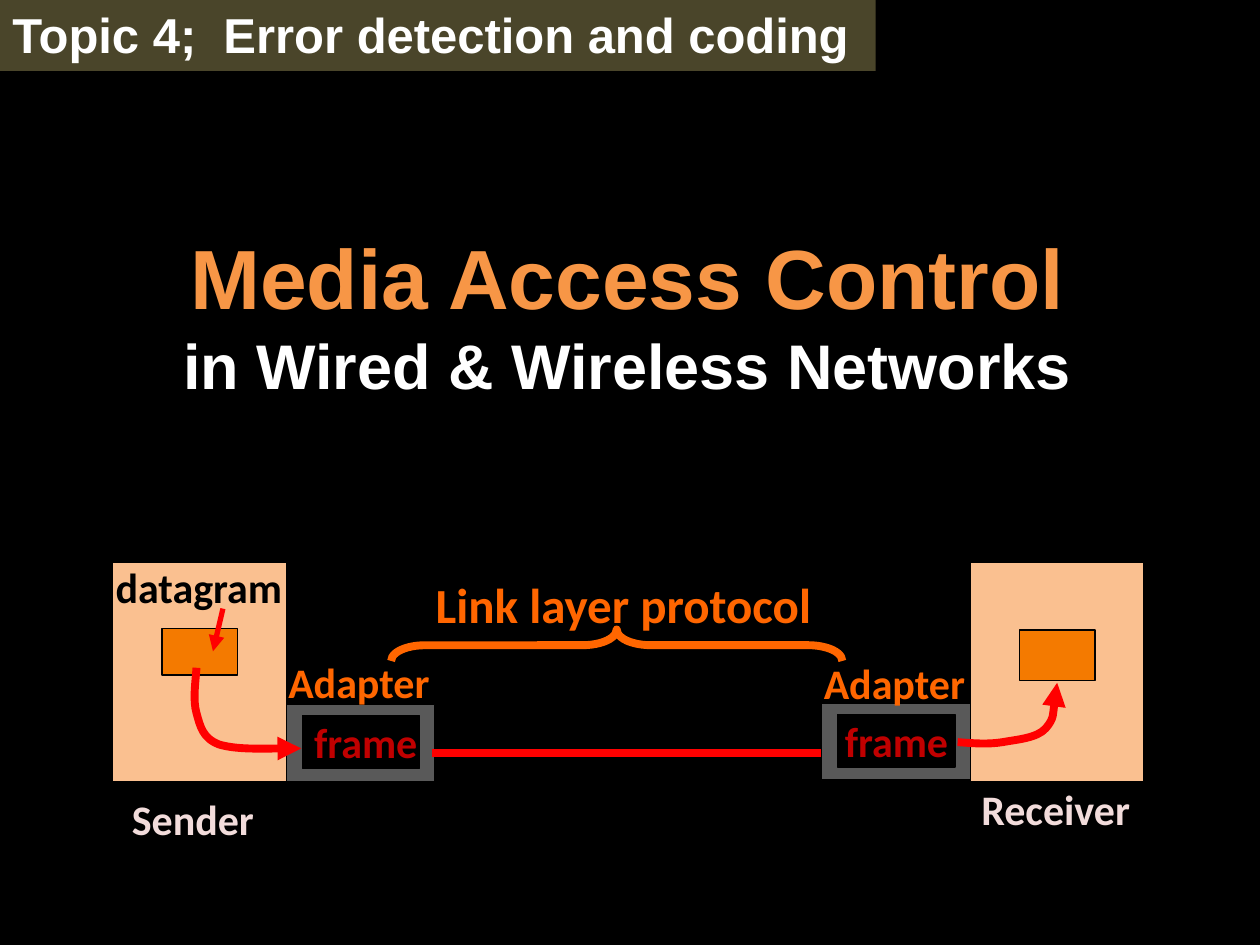
from dataclasses import dataclass

from lxml.etree import SubElement
from pptx import Presentation
from pptx.dml.color import RGBColor
from pptx.enum.shapes import MSO_CONNECTOR, MSO_SHAPE
from pptx.enum.text import MSO_ANCHOR, MSO_AUTO_SIZE as FIT, PP_ALIGN as AL
from pptx.oxml.ns import qn
from pptx.util import Pt


@dataclass(frozen=True)
class Theme:
    head: str = "Arial"
    body: str = "Calibri"
    black: str = "000000"
    white: str = "FFFFFF"
    band: str = "4A452A"
    title: str = "F79646"
    computer: str = "FAC090"
    datagram: str = "F47A00"
    adapter: str = "595959"
    frame: str = "C00000"
    link: str = "FF6600"
    host: str = "F2DCDB"
    wire: str = "FF0000"
    label_pt: float = 24
    heading_pt: float = 28
    subtitle_pt: float = 36
    title_pt: float = 48
    thin: float = 0.75
    medium: float = 3
    thick: float = 4.5


T = Theme()


def rgb(color):
    return RGBColor.from_string(color)


def add_run(p, text, size, color, font=T.body):
    r = p.add_run()
    r.text = text
    r.font.name, r.font.size, r.font.bold = font, Pt(size), True
    r.font.color.rgb = rgb(color)


def stroke(line, color, width):
    line.color.rgb = rgb(color)
    line.width = Pt(width)


def arrowhead(sp):
    ln = sp.line._get_or_add_ln()
    SubElement(ln, qn("a:tailEnd"), type="triangle")


def add_rect(s, x, y, w, h, fill, outlined=True):
    sp = s.shapes.add_shape(MSO_SHAPE.RECTANGLE, Pt(x), Pt(y), Pt(w), Pt(h))
    sp.shadow.inherit = False
    sp.fill.solid()
    sp.fill.fore_color.rgb = rgb(fill)
    if outlined:
        stroke(sp.line, T.black, T.thin)
    else:
        sp.line.fill.background()
    return sp


def add_label(s, x, y, w, h, text, color, size=T.label_pt, align=AL.LEFT):
    tf = s.shapes.add_textbox(Pt(x), Pt(y), Pt(w), Pt(h)).text_frame
    tf.word_wrap = False
    tf.auto_size = FIT.SHAPE_TO_FIT_TEXT
    p = tf.paragraphs[0]
    p.alignment = align
    add_run(p, text, size, color)


def add_line(s, x1, y1, x2, y2, width, arrow=False):
    c = s.shapes.add_connector(MSO_CONNECTOR.STRAIGHT, Pt(x1), Pt(y1), Pt(x2), Pt(y2))
    stroke(c.line, T.wire, width)
    if arrow:
        arrowhead(c)
    SubElement(c._element.spPr, qn("a:effectLst"))


def add_curve(s, start, segments):
    """Draw an arrow of Bezier segments, each (control, control, end)."""
    fb = s.shapes.build_freeform(Pt(start[0]), Pt(start[1]))
    fb.add_line_segments([(Pt(x), Pt(y)) for *_, (x, y) in segments], close=False)
    sp = fb.convert_to_shape()
    sp.shadow.inherit = False
    sp.fill.background()
    stroke(sp.line, T.wire, T.thick)
    arrowhead(sp)
    # Turn the straight segments into cubic ones
    for ln_to, seg in zip(list(sp._element.iter(qn("a:lnTo"))), segments):
        ln_to.tag = qn("a:cubicBezTo")
        ln_to.remove(ln_to[0])
        for x, y in seg:
            SubElement(ln_to, qn("a:pt"), x=str(Pt(x) - sp.left), y=str(Pt(y) - sp.top))


def add_computer(s, x, box_y, box_h):
    add_rect(s, x, 321.2, 99.2, 125.2, T.computer)
    add_rect(s, x + 28.2, box_y, 43.2, box_h, T.datagram)


def add_adapter(s, x, y, text):
    add_rect(s, x, y, 85, 44, T.adapter)
    tf = add_rect(s, x + 9.4, y + 6.4, 67, 30.2, T.black).text_frame
    tf.word_wrap = False
    tf.vertical_anchor = MSO_ANCHOR.MIDDLE
    p = tf.paragraphs[0]
    p.alignment = AL.CENTER
    add_run(p, text, T.label_pt, T.frame)


def add_title(s):
    title = s.shapes.title
    title.left, title.top, title.width, title.height = Pt(87), Pt(126), Pt(543), Pt(108)
    tf = title.text_frame
    tf.word_wrap = True
    tf.auto_size = FIT.NONE
    tf.vertical_anchor = MSO_ANCHOR.TOP
    tf.margin_left = tf.margin_right = Pt(6.5)
    tf.margin_top = tf.margin_bottom = Pt(3)
    p = tf.paragraphs[0]
    p.alignment = AL.CENTER
    add_run(p, "Media Access Control ", T.title_pt, T.title, T.head)
    add_run(p, "in Wired & Wireless Networks", T.subtitle_pt, T.white, T.head)


def add_band(s):
    tf = add_rect(s, 0, -0.7, 500.4, 41.2, T.band, outlined=False).text_frame
    tf.word_wrap = False
    tf.auto_size = FIT.SHAPE_TO_FIT_TEXT
    tf.vertical_anchor = MSO_ANCHOR.TOP
    p = tf.paragraphs[0]
    p.alignment = AL.LEFT
    add_run(p, "Topic 4;  Error detection and coding", T.heading_pt, T.white, T.head)


def add_brace(s):
    sp = s.shapes.add_shape(MSO_SHAPE.LEFT_BRACE, Pt(343.4), Pt(239.8), Pt(18), Pt(257.8))
    sp.rotation = 90
    sp.adjustments[0] = 1.08
    sp.shadow.inherit = False
    sp.fill.background()
    stroke(sp.line, T.link, T.thick)


def main():
    prs = Presentation()
    prs.slide_width, prs.slide_height = Pt(720), Pt(540)
    s = prs.slides.add_slide(prs.slide_layouts[5])
    s.background.fill.solid()
    s.background.fill.fore_color.rgb = rgb(T.black)
    add_title(s)

    # Sender, wire and receiver
    add_adapter(s, 163.4, 402.5, " frame")
    add_line(s, 247, 430.4, 469.4, 430.4, T.thick)
    add_computer(s, 554.4, 360, 28.8)
    add_computer(s, 64.4, 359.2, 26.6)
    add_adapter(s, 469.4, 401.8, "frame")
    add_label(s, 67.7, 450, 85, 36, "Sender", T.host, align=AL.CENTER)
    add_label(s, 553.7, 444.2, 100, 36, "Receiver", T.host)

    # Datagram into the frame, and out again
    add_line(s, 127.4, 347.8, 121.7, 372.2, T.medium, arrow=True)
    add_label(s, 59, 317.5, 111, 36, "datagram", T.black)
    add_curve(s, (112.3, 381.6), [
        ((111.6, 391), (110.2, 400.3), (112.3, 407.5)),
        ((114.5, 415.4), (115.9, 421.9), (125.3, 425.5)),
        ((135.4, 428.4), (164.2, 427.7), (172.1, 427.7)),
    ])
    add_curve(s, (547.2, 424.1), [
        ((555.8, 424.8), (564.5, 425.5), (573.1, 424.1)),
        ((581, 422.6), (592.6, 421.9), (597.6, 416.2)),
        ((602.6, 410.4), (603.4, 394.6), (604.1, 390.2)),
    ])

    # Link layer
    add_label(s, 157.7, 371.5, 95.8, 36, "Adapter", T.link)
    add_label(s, 463.7, 372.2, 95.8, 36, "Adapter", T.link)
    add_label(s, 241.9, 324.7, 231.8, 41, "Link layer protocol", T.link, T.heading_pt)
    add_brace(s)

    # Topic band
    add_band(s)
    prs.save("out.pptx")


if __name__ == "__main__":
    main()
